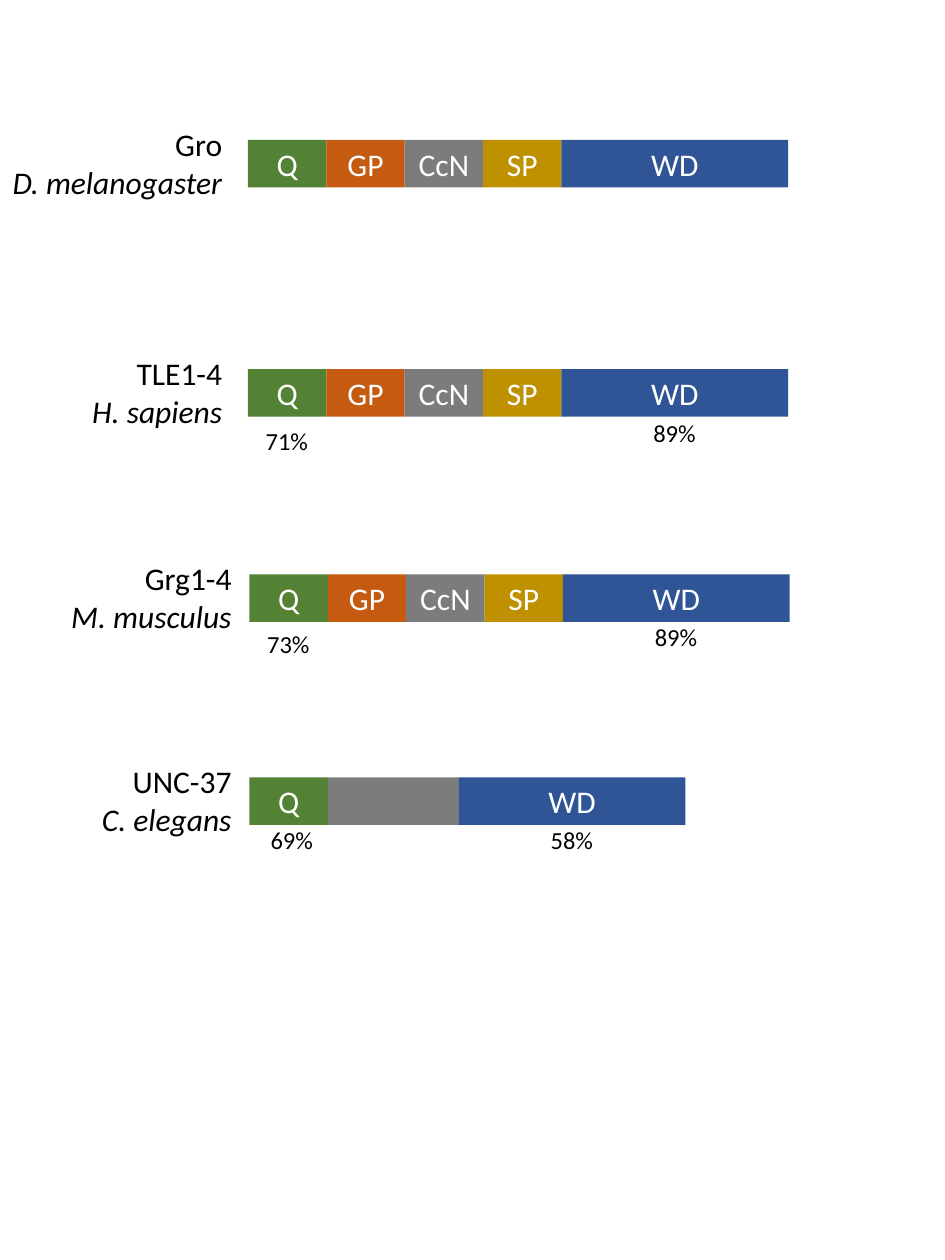
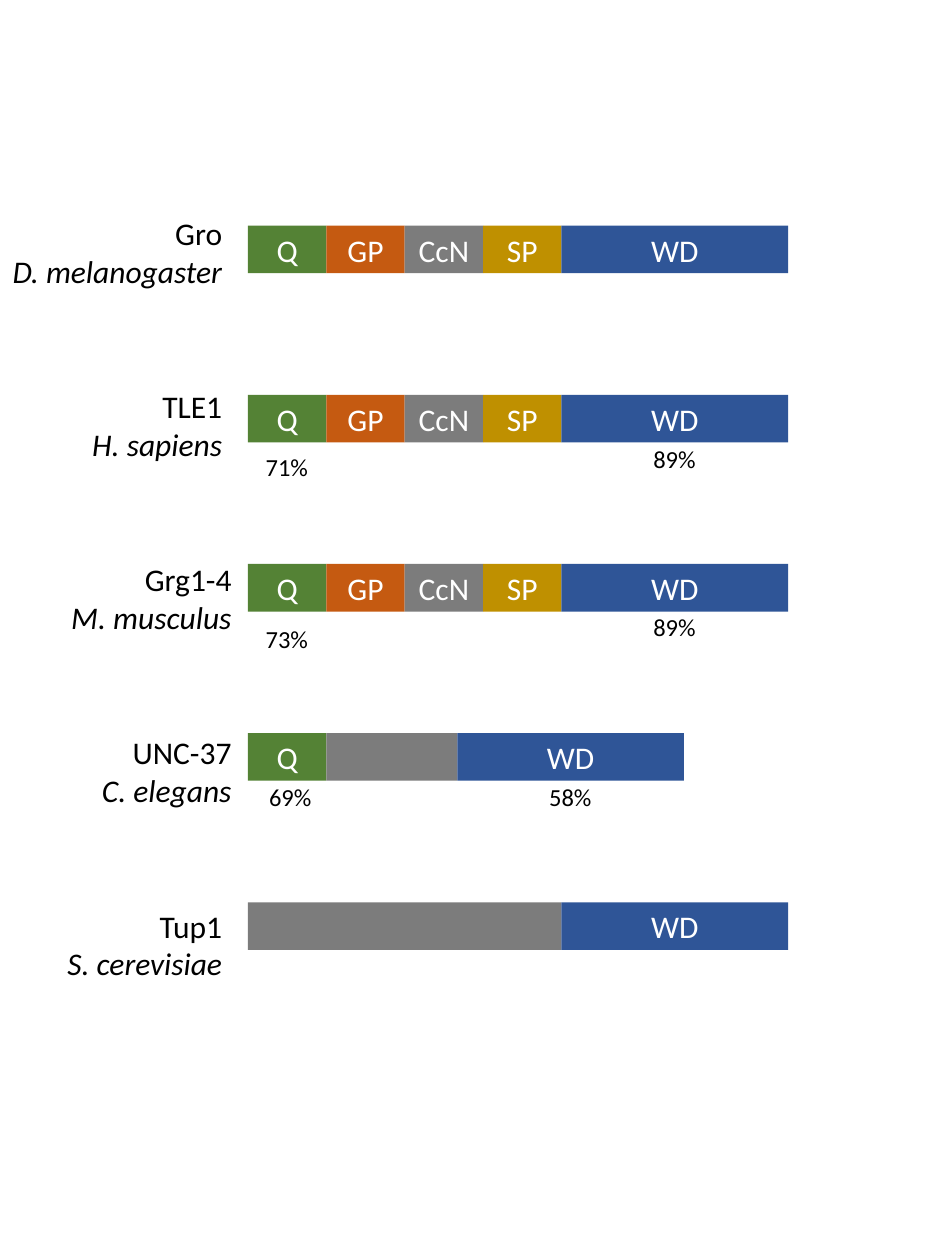
from pptx import Presentation
from pptx.dml.color import RGBColor
from pptx.enum.shapes import MSO_SHAPE
from pptx.enum.text import MSO_ANCHOR, MSO_AUTO_SIZE, PP_ALIGN
from pptx.util import Cm, Pt

RECTANGLE = MSO_SHAPE.RECTANGLE
MIDDLE = MSO_ANCHOR.MIDDLE
FIT_TEXT = MSO_AUTO_SIZE.SHAPE_TO_FIT_TEXT
LEFT, CENTER, RIGHT = PP_ALIGN.LEFT, PP_ALIGN.CENTER, PP_ALIGN.RIGHT

FONT = "Calibri"
COLOURS = {
    "Q": "548235", "GP": "C55A11", "CcN": "7C7C7C", "SP": "BF9000",
    "WD": "2F5597", "spacer": "7C7C7C", "text": "000000", "bar text": "FFFFFF",
}

# Lengths in cm
UNIT = 1.58
WIDTHS = {"Q": UNIT, "GP": UNIT, "CcN": UNIT, "SP": UNIT, "WD": 4.57}
BAR_HEIGHT = 0.96
LABEL_HEIGHT = 1.8
IDENTITY_WIDTH, IDENTITY_HEIGHT = 1.37, 0.86

# Each bar is a list of (domain, width)
FULL = [(domain, width) for domain, width in WIDTHS.items()]
WORM = [("Q", UNIT), ("spacer", 2.64), ("WD", WIDTHS["WD"])]
YEAST = [("spacer", 4 * UNIT), ("WD", WIDTHS["WD"])]

# Species: width of the label, its right edge, domains of the protein
SPECIES = {
    "D. melanogaster": (4.78, 4.73, FULL),
    "H. sapiens": (3.18, 4.73, FULL),
    "M. musculus": (3.78, 4.92, FULL),
    "C. elegans": (3.15, 4.92, WORM),
    "S. cerevisiae": (3.66, 4.73, YEAST),
}

# Protein rows: protein, species, left of the bar, identities.
# Identity: domain -> (text, distance below top of bar, shift to the right)
SLIDES = [
    {
        "grouped": False,
        "bar tops": [2.82, 7.44, 11.58, 15.67],
        "label tops": [2.39, 7.01, 11.15, 15.24],
        "rows": [
            ("Gro", "D. melanogaster", 5.0, {}),
            ("TLE1-4", "H. sapiens", 5.0,
             {"Q": ("71%", 1.02, 0), "WD": ("89%", 0.86, 0)}),
            ("Grg1-4", "M. musculus", 5.03,
             {"Q": ("73%", 0.97, 0), "WD": ("89%", 0.84, 0)}),
            ("UNC-37", "C. elegans", 5.03,
             {"Q": ("69%", 0.84, 0.07), "WD": ("58%", 0.84, 0)}),
        ],
    },
    {
        "grouped": True,
        "bar tops": [4.55 + 3.41 * row for row in range(5)],
        "label tops": [4.19 + 3.49 * row for row in range(5)],
        "rows": [
            ("Gro", "D. melanogaster", 5.0, {}),
            ("TLE1", "H. sapiens", 5.0,
             {"Q": ("71%", 1.02, 0), "WD": ("89%", 0.86, 0)}),
            ("Grg1-4", "M. musculus", 5.0,
             {"Q": ("73%", 1.09, 0), "WD": ("89%", 0.84, 0)}),
            ("UNC-37", "C. elegans", 5.0,
             {"Q": ("69%", 0.86, 0.07), "WD": ("58%", 0.86, 0)}),
            ("Tup1", "S. cerevisiae", 5.0, {}),
        ],
    },
]


def style(paragraph, size, colour, align, italic=False):
    """Set the font and alignment of a whole paragraph."""
    paragraph.alignment = align
    paragraph.font.name = FONT
    paragraph.font.size = Pt(size)
    paragraph.font.italic = italic
    paragraph.font.color.rgb = RGBColor.from_string(COLOURS[colour])


def add_text(shapes, left, top, width, height, text):
    """Add an unwrapped text box and return its paragraphs."""
    box = shapes.add_textbox(Cm(left), Cm(top), Cm(width), Cm(height))
    frame = box.text_frame
    frame.word_wrap = False
    frame.auto_size = FIT_TEXT
    frame.text = text
    return frame.paragraphs


def add_domain(shapes, left, top, width, domain):
    """Add one coloured domain of a protein bar."""
    block = shapes.add_shape(RECTANGLE, Cm(left), Cm(top), Cm(width), Cm(BAR_HEIGHT))
    block.shadow.inherit = False
    block.fill.solid()
    block.fill.fore_color.rgb = RGBColor.from_string(COLOURS[domain])
    block.line.fill.background()
    if domain != "spacer":
        frame = block.text_frame
        frame.vertical_anchor = MIDDLE
        frame.text = domain
        style(frame.paragraphs[0], 18, "bar text", CENTER)


def add_label(shapes, top, protein, species):
    """Add the protein name above its species in italics."""
    width, right, _ = SPECIES[species]
    name, organism = add_text(shapes, right - width, top, width, LABEL_HEIGHT,
                              f"{protein}\n{species}")
    style(name, 18, "text", RIGHT)
    style(organism, 18, "text", RIGHT, italic=True)


def add_protein(shapes, bar_top, label_top, protein, species, left, identities):
    """Add a protein: its domains side by side, identities below, and label."""
    for domain, width in SPECIES[species][2]:
        add_domain(shapes, left, bar_top, width, domain)
        if domain in identities:
            text, drop, shift = identities[domain]
            identity_left = left + (width - IDENTITY_WIDTH) / 2 + shift
            identity, = add_text(shapes, identity_left, bar_top + drop,
                                 IDENTITY_WIDTH, IDENTITY_HEIGHT, text)
            style(identity, 14, "text", LEFT)
        left += width
    add_label(shapes, label_top, protein, species)


deck = Presentation()
deck.slide_width, deck.slide_height = Cm(19.05), Cm(25.4)
blank = deck.slide_layouts[6]

for content in SLIDES:
    slide = deck.slides.add_slide(blank)
    for bar_top, label_top, row in zip(content["bar tops"], content["label tops"],
                                       content["rows"]):
        shapes = slide.shapes
        if content["grouped"]:
            shapes = shapes.add_group_shape().shapes
        add_protein(shapes, bar_top, label_top, *row)

deck.save("out.pptx")
